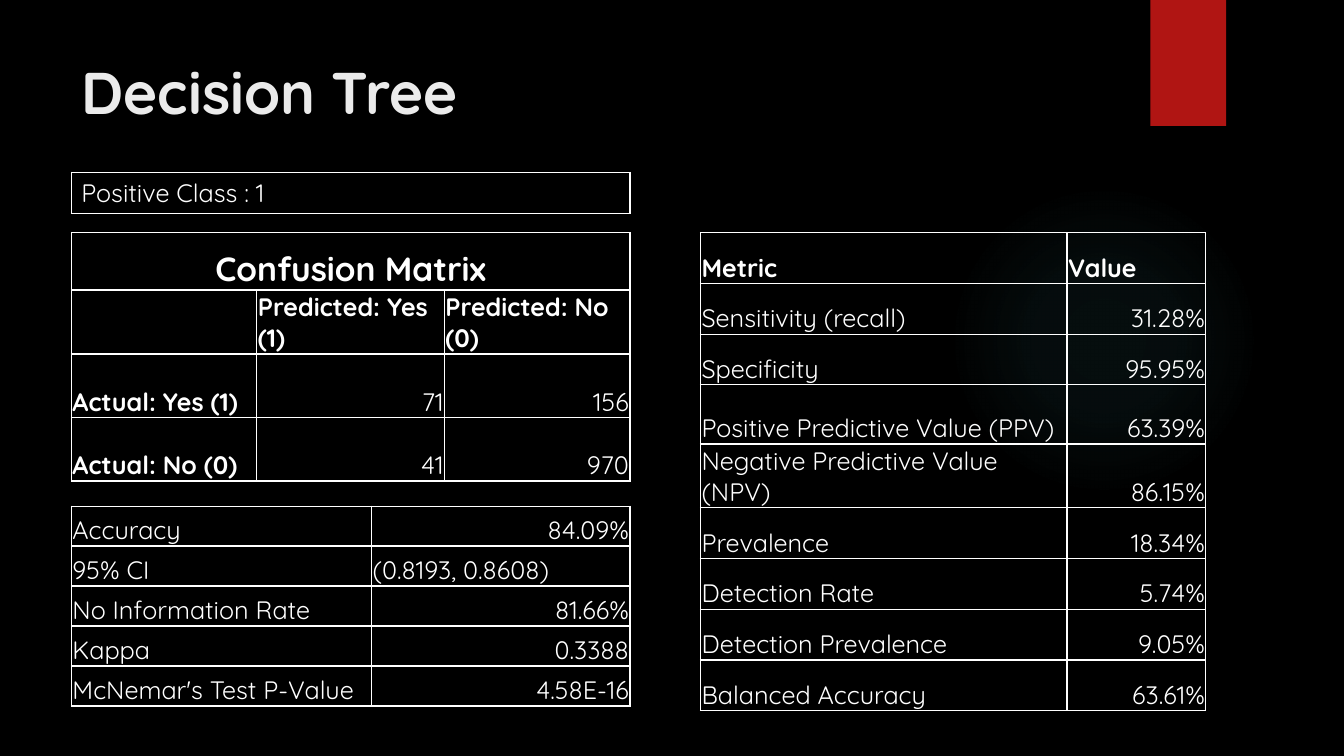
import pptx
import pptx.util
import pptx.oxml
import pptx.oxml.ns
import pptx.dml.color
import pptx.enum.shapes
import pptx.enum.text

Pt = pptx.util.Pt
FONT = "Quicksand"
WHITE = "FFFFFF"
BOTTOM = pptx.enum.text.MSO_ANCHOR.BOTTOM
TIGHT = (0.75, 0.75, 0.75, 0)
ROOMY = (7.2, 3.6, 7.2, 3.6)

CONFUSION = [
    ["Confusion Matrix", "", ""],
    ["", "Predicted: Yes (1)", "Predicted: No (0)"],
    ["Actual: Yes (1)", "71", "156"],
    ["Actual: No (0)", "41", "970"],
]
ACCURACY = [
    ["Accuracy", "84.09%"],
    ["95% CI", "(0.8193, 0.8608)"],
    ["No Information Rate", "81.66%"],
    ["Kappa", "0.3388"],
    ["McNemar's Test P-Value", "4.58E-16"],
]
METRICS = [
    ["Metric", "Value"],
    ["Sensitivity (recall)", "31.28%"],
    ["Specificity", "95.95%"],
    ["Positive Predictive Value (PPV)", "63.39%"],
    ["Negative Predictive Value (NPV)", "86.15%"],
    ["Prevalence", "18.34%"],
    ["Detection Rate", "5.74%"],
    ["Detection Prevalence", "9.05%"],
    ["Balanced Accuracy", "63.61%"],
]


def color(value):
    return pptx.dml.color.RGBColor.from_string(value)


def xml(tag, attributes, content):
    namespace = pptx.oxml.ns.nsdecls("a")
    return pptx.oxml.parse_xml(f"<a:{tag} {namespace} {attributes}>{content}</a:{tag}>")


def tint(value, percent):
    return f'<a:srgbClr val="{value}"><a:alpha val="{percent * 1000}"/></a:srgbClr>'


def style(paragraph, size, value, bold):
    paragraph.font.name = FONT
    paragraph.font.size = Pt(size)
    paragraph.font.bold = bold
    paragraph.font.color.rgb = color(value)


def set_margins(holder, margins):
    left, top, right, bottom = map(Pt, margins)
    holder.margin_left, holder.margin_right = left, right
    holder.margin_top, holder.margin_bottom = top, bottom


def add_backdrop(slide, left, top, width, height):
    slide.background.fill.solid()
    slide.background.fill.fore_color.rgb = color("000000")
    kinds = pptx.enum.shapes.MSO_SHAPE

    glow = slide.shapes.add_shape(
        kinds.OVAL, Pt(left + 677.5), Pt(top + 131.8), Pt(221.8), Pt(221.8))
    glow.shadow.inherit = False
    glow.line.fill.background()
    glow.fill.background()
    stops = "".join(
        f'<a:gs pos="{position * 1000}">{tint("50B9C1", percent)}</a:gs>'
        for position, percent in [(0, 7), (36, 6), (69, 0)])
    center = '<a:fillToRect l="50000" t="50000" r="50000" b="50000"/>'
    gradient = xml("gradFill", "", f'<a:gsLst>{stops}</a:gsLst><a:path path="circle">{center}</a:path>')
    properties = glow.element.spPr
    properties.replace(properties.find(pptx.oxml.ns.qn("a:noFill")), gradient)

    ribbon = slide.shapes.add_shape(
        kinds.RECTANGLE, Pt(left + width - 138.2), Pt(top), Pt(54), Pt(90))
    ribbon.shadow.inherit = False
    ribbon.line.fill.background()
    ribbon.fill.solid()
    ribbon.fill.fore_color.rgb = color("B01513")
    effects = ribbon.element.spPr.find(pptx.oxml.ns.qn("a:effectLst"))
    effects.append(xml(
        "outerShdw",
        f'blurRad="{Pt(3)}" dist="{Pt(2)}" dir="5400000" rotWithShape="0"',
        tint("000000", 45)))


def add_title(slide, left, top, width, height, text):
    title = slide.shapes.add_textbox(Pt(left), Pt(top), Pt(width), Pt(height))
    title.text_frame.word_wrap = True
    set_margins(title.text_frame, ROOMY)
    heading = title.text_frame.paragraphs[0]
    heading.text = text
    style(heading, 42, "EBEBEB", True)


def add_borders(cell):
    properties = cell._tc.get_or_add_tcPr()
    fill = f'<a:solidFill><a:srgbClr val="{WHITE}"/></a:solidFill>'
    for index, side in enumerate("LRTB"):
        properties.insert(index, xml(f"ln{side}", f'w="{Pt(1)}"', fill))


def add_grid(slide, left, top, columns, rows, entries,
             header_rows=0, bold_labels=False, margins=TIGHT, anchor=BOTTOM):
    frame = slide.shapes.add_table(
        len(rows), len(columns), Pt(left), Pt(top), Pt(sum(columns)), Pt(sum(rows)))
    grid = frame.table
    grid.first_row = grid.horz_banding = False
    for column, width in zip(grid.columns, columns):
        column.width = Pt(width)
    for row, height in zip(grid.rows, rows):
        row.height = Pt(height)
    for i, row_entries in enumerate(entries):
        for j, entry in enumerate(row_entries):
            cell = grid.cell(i, j)
            cell.fill.background()
            add_borders(cell)
            set_margins(cell, margins)
            cell.vertical_anchor = anchor
            label = cell.text_frame.paragraphs[0]
            label.text = entry
            style(label, 18, WHITE, i < header_rows or (bold_labels and j == 0))
            if j and entry[:1].isdigit():
                label.alignment = pptx.enum.text.PP_ALIGN.RIGHT
    return grid


def add_confusion_matrix(slide, left, top):
    matrix = add_grid(slide, left, top, [132.5, 134, 132.5], [40.8, 45.7, 45.4, 45.4],
                      CONFUSION, header_rows=2, bold_labels=True)
    matrix.cell(0, 0).merge(matrix.cell(0, 2))
    caption = matrix.cell(0, 0).text_frame.paragraphs[0]
    caption.font.size = Pt(24)
    caption.alignment = pptx.enum.text.PP_ALIGN.CENTER


def main():
    deck = pptx.Presentation()
    deck.slide_width, deck.slide_height = Pt(960), Pt(540)
    slide = deck.slides.add_slide(deck.slide_layouts[6])
    left, top = 51, 166.3

    add_backdrop(slide, 0, 0, 960, 540)
    add_title(slide, left, 36, 741, 73.4, "Decision Tree")
    add_confusion_matrix(slide, left, top)
    add_grid(slide, left, 361.5, [214.5, 184.5], [28.55] * 5, ACCURACY)
    add_grid(slide, 500.4, top, [261.8, 99.2],
             [36.2] * 3 + [42.2, 45.7] + [36.2] * 4, METRICS, header_rows=1)
    add_grid(slide, left, 123.1, [399], [29.2], [["Positive Class : 1"]],
             margins=ROOMY, anchor=pptx.enum.text.MSO_ANCHOR.TOP)
    deck.save("out.pptx")


if __name__ == "__main__":
    main()
